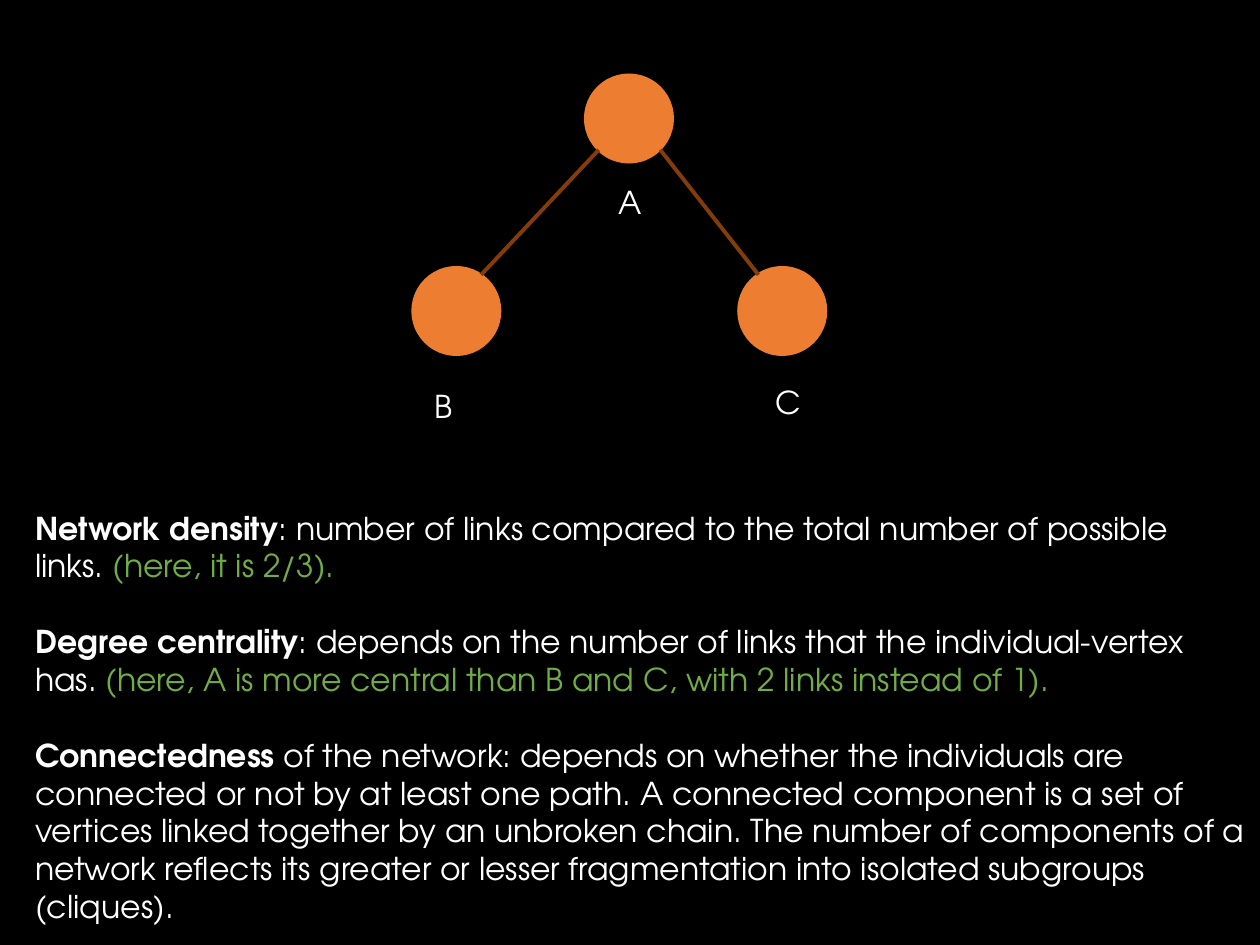
from lxml import etree
from pptx import Presentation
from pptx import util as u
from pptx.dml.color import RGBColor
from pptx.enum import shapes, text
from pptx.oxml.ns import qn

BLACK = RGBColor(0x00, 0x00, 0x00)
WHITE = RGBColor(0xFF, 0xFF, 0xFF)
ORANGE = RGBColor(0xED, 0x7D, 0x31)
BROWN = RGBColor(0x84, 0x3C, 0x0B)
GREEN = RGBColor(0x70, 0xAD, 0x47)

NODE_SIZE = 1.78
LABEL_SIZE = (1.37, 1.02)

# Vertex name: circle position, label position (cm)
VERTICES = {
    "B": ((8.31, 5.38), (8.51, 7.67)),
    "C": ((14.88, 5.38), (15.39, 7.59)),
    "A": ((11.79, 1.5), (12.22, 3.56)),
}
# Ends of each link (cm)
LINKS = [((9.7, 5.54), (12.07, 3.02)), ((15.29, 5.54), (13.31, 3.02))]

# Term, definition, example
DEFINITIONS = [
    ("Network density",
     ": number of links compared to the total number of possible links. ",
     "(here, it is 2/3)."),
    ("Degree centrality",
     ": depends on the number of links that the individual-vertex has. ",
     "(here, A is more central than B and C, with 2 links instead of 1)."),
    ("Connectedness",
     " of the network: depends on whether the individuals are connected or not "
     "by at least one path. A connected component is a set of vertices linked "
     "together by an unbroken chain. The number of components of a network "
     "reflects its greater or lesser fragmentation into isolated subgroups "
     "(cliques).",
     ""),
]


def add_text(paragraph, content, font="TeX Gyre Adventor", size=18, color=WHITE, bold=False):
    run = paragraph.add_run()
    run.text = content
    run.font.name = font
    run.font.size = u.Pt(size)
    run.font.color.rgb = color
    run.font.bold = bold


class NetworkSlide:
    def __init__(self, presentation):
        self.slide = presentation.slides.add_slide(presentation.slide_layouts[6])
        background = self.slide.background.fill
        background.solid()
        background.fore_color.rgb = BLACK

    def text_box(self, left, top, width, height):
        shape = self.slide.shapes.add_textbox(
            u.Cm(left), u.Cm(top), u.Cm(width), u.Cm(height))
        shape.text_frame.word_wrap = True
        shape.text_frame.auto_size = text.MSO_AUTO_SIZE.SHAPE_TO_FIT_TEXT
        return shape.text_frame

    def vertex(self, left, top):
        shape = self.slide.shapes.add_shape(
            shapes.MSO_SHAPE.OVAL, u.Cm(left), u.Cm(top), u.Cm(NODE_SIZE), u.Cm(NODE_SIZE))
        shape.shadow.inherit = False
        shape.fill.solid()
        shape.fill.fore_color.rgb = ORANGE
        shape.line.color.rgb = ORANGE
        shape.line.width = u.Pt(1)

    def label(self, name, left, top):
        frame = self.text_box(left, top, *LABEL_SIZE)
        add_text(frame.paragraphs[0], name)

    def link(self, start, end):
        connector = self.slide.shapes.add_connector(
            shapes.MSO_CONNECTOR.STRAIGHT, *(u.Cm(value) for value in start + end))
        connector.line.color.rgb = BROWN
        connector.line.width = u.Pt(2.25)
        etree.SubElement(connector._element.spPr, qn("a:effectLst"))

    def definitions(self, entries, left, top, width, height):
        frame = self.text_box(left, top, width, height)
        for index, (term, definition, example) in enumerate(entries):
            paragraph = frame.add_paragraph() if index else frame.paragraphs[0]
            if index:
                paragraph.space_before = u.Pt(21.7)
            add_text(paragraph, term, bold=True)
            add_text(paragraph, definition)
            if example:
                add_text(paragraph, example, color=GREEN)


def main():
    presentation = Presentation()
    presentation.slide_width, presentation.slide_height = u.Cm(25.4), u.Cm(19.05)
    network = NetworkSlide(presentation)

    # Definitions below the graph
    network.definitions(DEFINITIONS, 0.46, 10.13, 24.89, 7.95)

    # Graph: vertices, labels, links
    for circle, _ in VERTICES.values():
        network.vertex(*circle)
    for name, (_, position) in VERTICES.items():
        network.label(name, *position)
    for start, end in LINKS:
        network.link(start, end)

    presentation.save("out.pptx")


if __name__ == "__main__":
    main()
